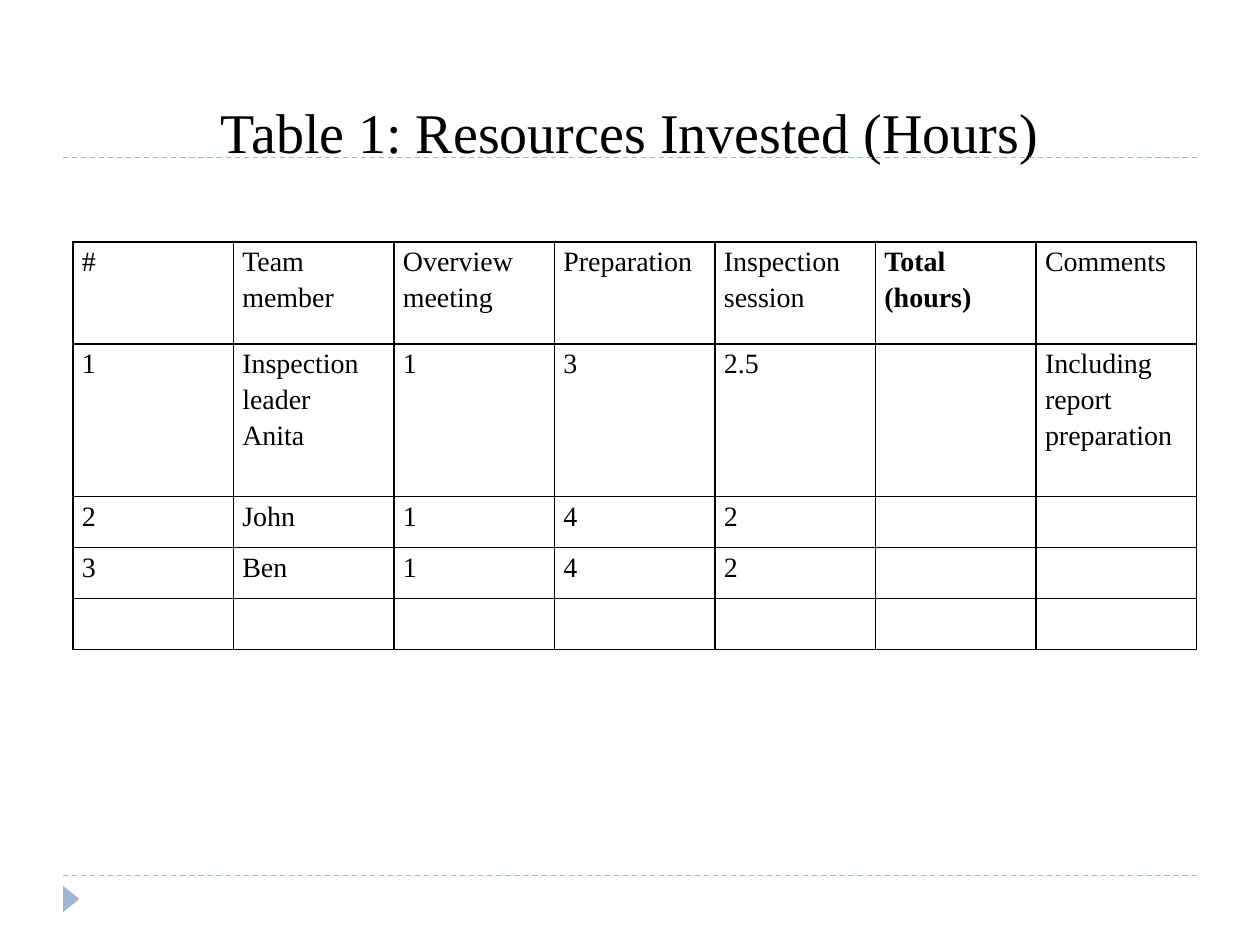
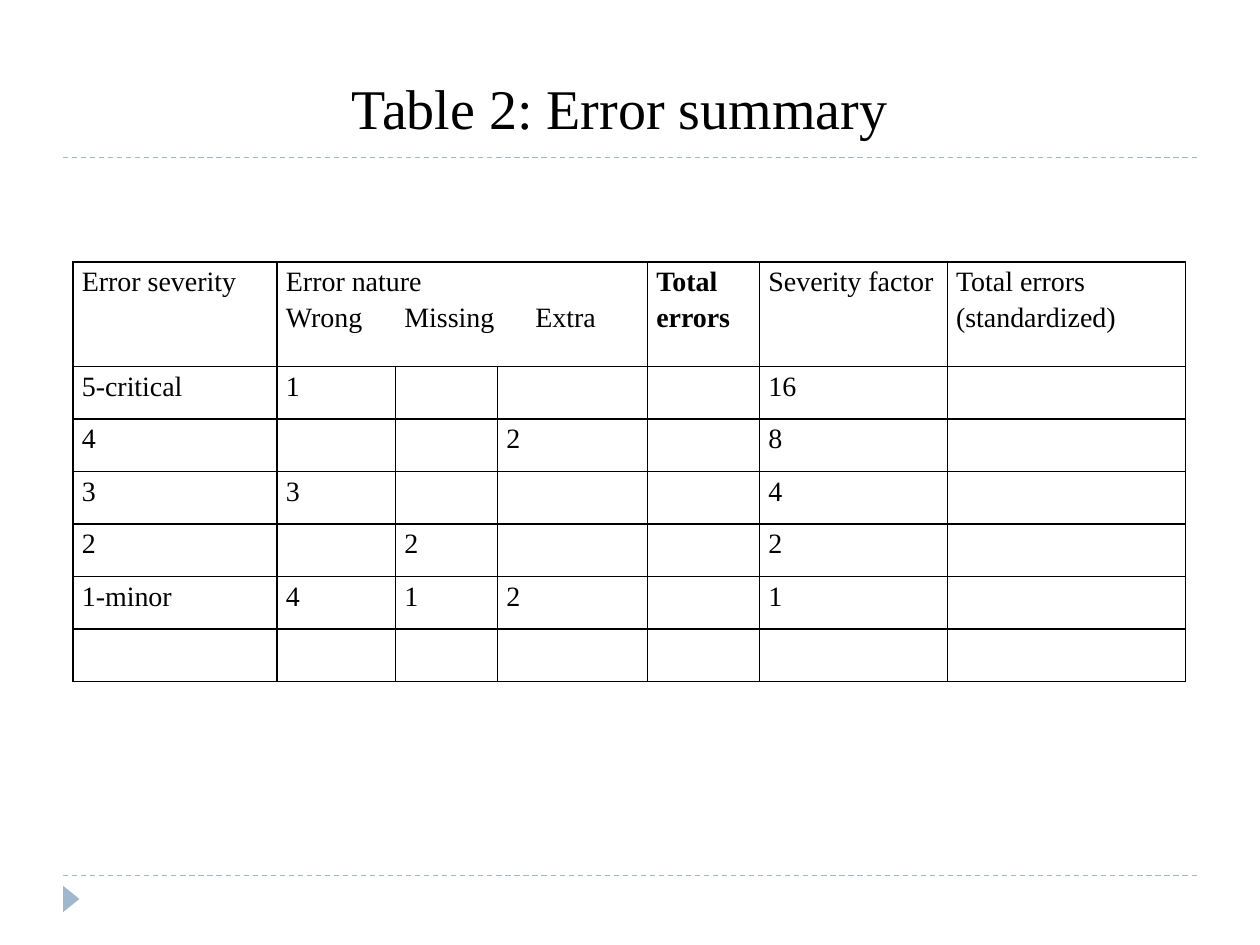
from lxml.etree import SubElement, fromstring
from pptx import Presentation
from pptx.dml.color import RGBColor
from pptx.enum.dml import MSO_LINE
from pptx.enum.shapes import MSO_CONNECTOR, MSO_SHAPE
from pptx.enum.text import MSO_ANCHOR, MSO_AUTO_SIZE, PP_ALIGN
from pptx.oxml.ns import nsdecls, qn
from pptx.util import Inches, Pt

FONT = "Times New Roman"
INK = "000000"
BLUE = "9FB8CD"
RULES = [6.95, 1.25]

SLIDES = [
    {
        "title": "Table 1: Resources Invested (Hours)",
        "spot": (0.5, 0.72),
        "top": 1.92,
        "cols": [8.92 / 7] * 7,
        "rows": [0.81, 1.21] + [0.405] * 3,
        "bold": 5,
        "merge": None,
        "cells": [
            ["#", "Team member", "Overview meeting", "Preparation",
             "Inspection session", "Total (hours)", "Comments"],
            ["1", "Inspection leader\nAnita", "1", "3", "2.5", "",
             "Including\nreport\npreparation"],
            ["2", "John", "1", "4", "2", "", ""],
            ["3", "Ben", "1", "4", "2", "", ""],
            [""] * 7,
        ],
    },
    {
        "title": "Table 2: Error summary",
        "spot": (0.42, 0.53),
        "top": 2.08,
        "cols": [1.62, 0.94, 0.81, 1.19, 0.89, 1.49, 1.89],
        "rows": [0.83] + [2.5 / 6] * 6,
        "bold": 4,
        "merge": (1, 3),
        "cells": [
            ["Error severity", "Error nature\nWrong\tMissing\tExtra", "", "",
             "Total errors", "Severity factor", "Total errors\n(standardized)"],
            ["5-critical", "1", "", "", "", "16", ""],
            ["4", "", "", "2", "", "8", ""],
            ["3", "3", "", "", "", "4", ""],
            ["2", "", "2", "", "", "2", ""],
            ["1-minor", "4", "1", "2", "", "1", ""],
            [""] * 7,
        ],
    },
]
TABS = [0.94, 1.98]


def color(code):
    return RGBColor.from_string(code)


def write(frame, text, size=16, bold=False, align=PP_ALIGN.LEFT, space=None):
    for num, line in enumerate(text.split("\n")):
        para = frame.add_paragraph() if num else frame.paragraphs[0]
        if "\t" in line:
            tabs = SubElement(para._p.get_or_add_pPr(), qn("a:tabLst"))
            for pos in TABS:
                SubElement(tabs, qn("a:tab"), pos=str(Inches(pos)), algn="l")
        para.alignment = align
        para.line_spacing = space
        run = para.add_run()
        run.text = line
        run.font.name = FONT
        run.font.size = Pt(size)
        run.font.bold = bold
        run.font.color.rgb = color(INK)


def add_frame(slide):
    for y in RULES:
        rule = slide.shapes.add_connector(
            MSO_CONNECTOR.STRAIGHT, Inches(0.5), Inches(y), Inches(9.5), Inches(y))
        rule.line.color.rgb = color(BLUE)
        rule.line.width = Pt(0.75)
        rule.line.dash_style = MSO_LINE.DASH
        SubElement(rule._element.spPr, qn("a:effectLst"))
    mark = slide.shapes.add_shape(
        MSO_SHAPE.ISOSCELES_TRIANGLE,
        Inches(0.46), Inches(7.07), Inches(0.21), Inches(0.13))
    mark.rotation = 90
    mark.shadow.inherit = False
    mark.fill.solid()
    mark.fill.fore_color.rgb = color(BLUE)
    mark.line.fill.background()


def add_title(slide, text, spot):
    title = slide.shapes.title
    title.left, title.top = map(Inches, spot)
    title.width, title.height = Inches(9), Inches(0.64)
    frame = title.text_frame
    frame.word_wrap = True
    frame.auto_size = MSO_AUTO_SIZE.NONE
    frame.vertical_anchor = MSO_ANCHOR.MIDDLE
    write(frame, text, size=32, align=PP_ALIGN.CENTER)


def style_cell(cell):
    cell.margin_left = cell.margin_right = Inches(0.07)
    cell.margin_top = cell.margin_bottom = 0
    cell.fill.background()
    props = cell._tc.get_or_add_tcPr()
    for num, side in enumerate("LRTB"):
        props.insert(num, fromstring(
            f'<a:ln{side} {nsdecls("a")} w="{Pt(1)}"><a:solidFill>'
            f'<a:srgbClr val="{INK}"/></a:solidFill></a:ln{side}>'))


def add_grid(slide, data):
    cols, rows = data["cols"], data["rows"]
    grid = slide.shapes.add_table(
        len(rows), len(cols), Inches(0.58), Inches(data["top"]),
        Inches(sum(cols)), Inches(sum(rows))).table
    grid.first_row = grid.horz_banding = False
    for col, width in zip(grid.columns, cols):
        col.width = Inches(width)
    for row, height in zip(grid.rows, rows):
        row.height = Inches(height)
    if data["merge"]:
        first, last = data["merge"]
        grid.cell(0, first).merge(grid.cell(0, last))
    for r, texts in enumerate(data["cells"]):
        for c, text in enumerate(texts):
            cell = grid.cell(r, c)
            style_cell(cell)
            if text:
                bold = r == 0 and c == data["bold"]
                write(cell.text_frame, text, bold=bold, space=1.15)


def main():
    deck = Presentation()
    deck.slide_width, deck.slide_height = Inches(10), Inches(7.5)
    for data in SLIDES:
        slide = deck.slides.add_slide(deck.slide_layouts[5])
        add_frame(slide)
        add_grid(slide, data)
        add_title(slide, data["title"], data["spot"])
    deck.save("out.pptx")


if __name__ == "__main__":
    main()
